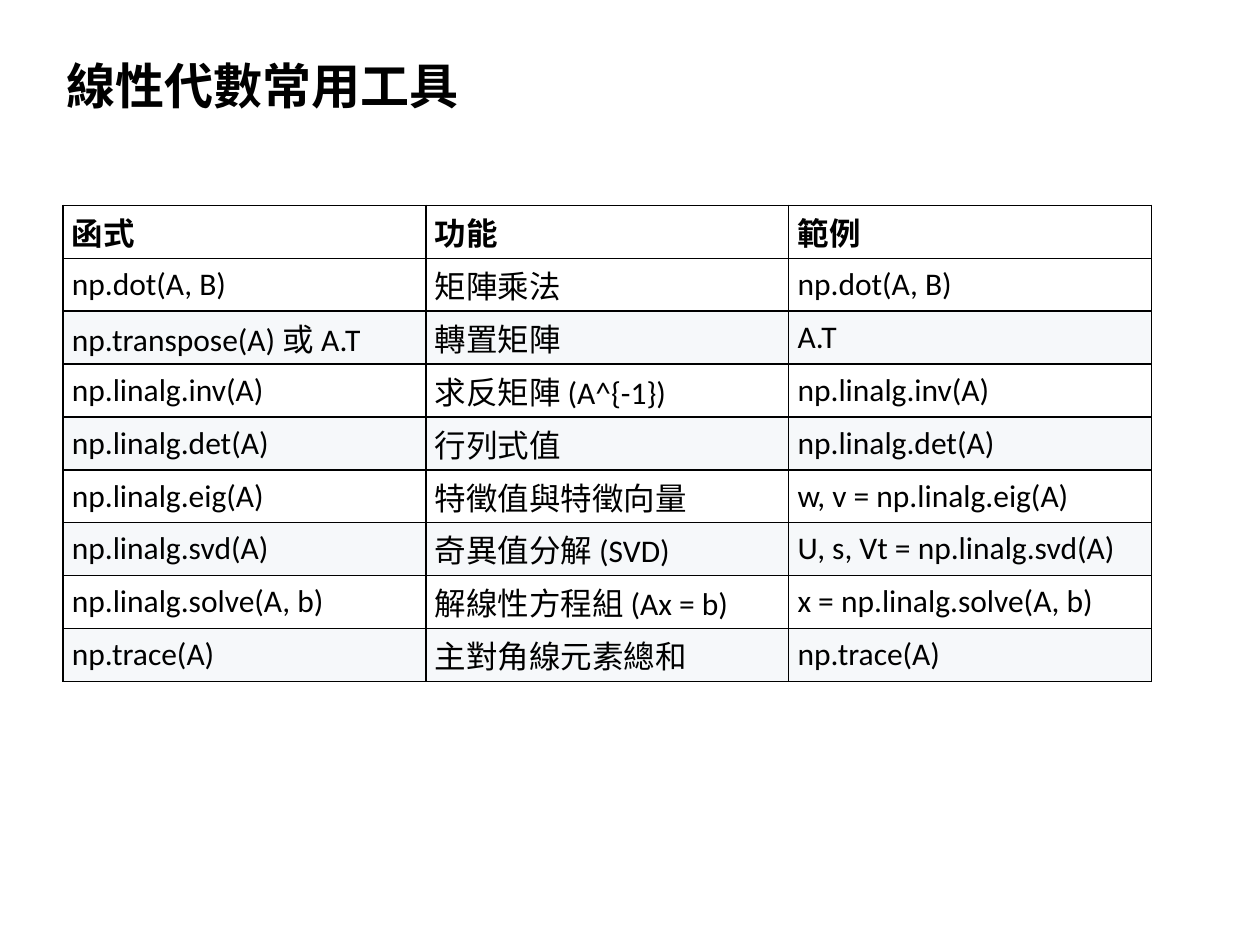
from pptx import Presentation
from pptx import util as u
from pptx.dml.color import RGBColor
from pptx.enum import text as t
from pptx.oxml import parse_xml
from pptx.oxml.ns import nsdecls

# Content
TITLE = "線性代數常用工具"
HEAD = ("函式", "功能", "範例")
TOOLS = [
    ("np.dot(A, B)", "矩陣乘法", "np.dot(A, B)"),
    ("np.transpose(A) 或 A.T", "轉置矩陣", "A.T"),
    ("np.linalg.inv(A)", "求反矩陣 (A^{-1})", "np.linalg.inv(A)"),
    ("np.linalg.det(A)", "行列式值", "np.linalg.det(A)"),
    ("np.linalg.eig(A)", "特徵值與特徵向量", "w, v = np.linalg.eig(A)"),
    ("np.linalg.svd(A)", "奇異值分解 (SVD)", "U, s, Vt = np.linalg.svd(A)"),
    ("np.linalg.solve(A, b)", "解線性方程組 (Ax = b)", "x = np.linalg.solve(A, b)"),
    ("np.trace(A)", "主對角線元素總和", "np.trace(A)"),
]

THEME = {
    "font": "Calibri", "title": 28, "body": 18, "rule": 1,
    "ink": "000000", "plain": "FFFFFF", "band": "F6F8FA",
}


def write(frame, words, size, bold):
    run = frame.paragraphs[0].add_run()
    run.text = words
    font = run.font
    font.name, font.size, font.bold = THEME["font"], u.Pt(size), bold
    font.color.rgb = RGBColor.from_string(THEME["ink"])


def border(cell):
    props = cell._tc.get_or_add_tcPr()
    for spot, side in enumerate(("lnL", "lnR", "lnT", "lnB")):
        props.insert(spot, parse_xml(
            f'<a:{side} {nsdecls("a")} w="{u.Pt(THEME["rule"])}"><a:solidFill>'
            f'<a:srgbClr val="{THEME["ink"]}"/></a:solidFill></a:{side}>'))


def style(cell, color):
    cell.fill.solid()
    cell.fill.fore_color.rgb = RGBColor.from_string(color)
    cell.vertical_anchor = t.MSO_ANCHOR.MIDDLE
    cell.margin_left = cell.margin_right = u.Inches(0.07)
    cell.margin_top = cell.margin_bottom = u.Inches(0.03)
    border(cell)


def main():
    deck = Presentation()
    deck.slide_width, deck.slide_height = u.Inches(10), u.Inches(7.5)
    slide = deck.slides.add_slide(deck.slide_layouts[5])

    # Title
    title = slide.shapes.title
    title.left, title.top = u.Inches(0.43), u.Inches(0.39)
    title.width, title.height = u.Inches(3.34), u.Inches(0.57)
    frame = title.text_frame
    frame.word_wrap = False
    frame.auto_size = t.MSO_AUTO_SIZE.SHAPE_TO_FIT_TEXT
    frame.vertical_anchor = t.MSO_ANCHOR.TOP
    frame.paragraphs[0].alignment = t.PP_ALIGN.LEFT
    write(frame, TITLE, THEME["title"], True)

    # Table: equal columns and rows, every second tool shaded
    rows = [HEAD] + TOOLS
    wide, high = 2.88, 0.42
    table = slide.shapes.add_table(
        len(rows), len(HEAD), u.Inches(0.5), u.Inches(1.63),
        u.Inches(wide * len(HEAD)), u.Inches(high * len(rows))).table
    table.horz_banding = False
    for r, row in enumerate(rows):
        color = THEME["band"] if r and r % 2 == 0 else THEME["plain"]
        for c, words in enumerate(row):
            cell = table.cell(r, c)
            style(cell, color)
            write(cell.text_frame, words, THEME["body"], r == 0)

    deck.save("out.pptx")


if __name__ == "__main__":
    main()
